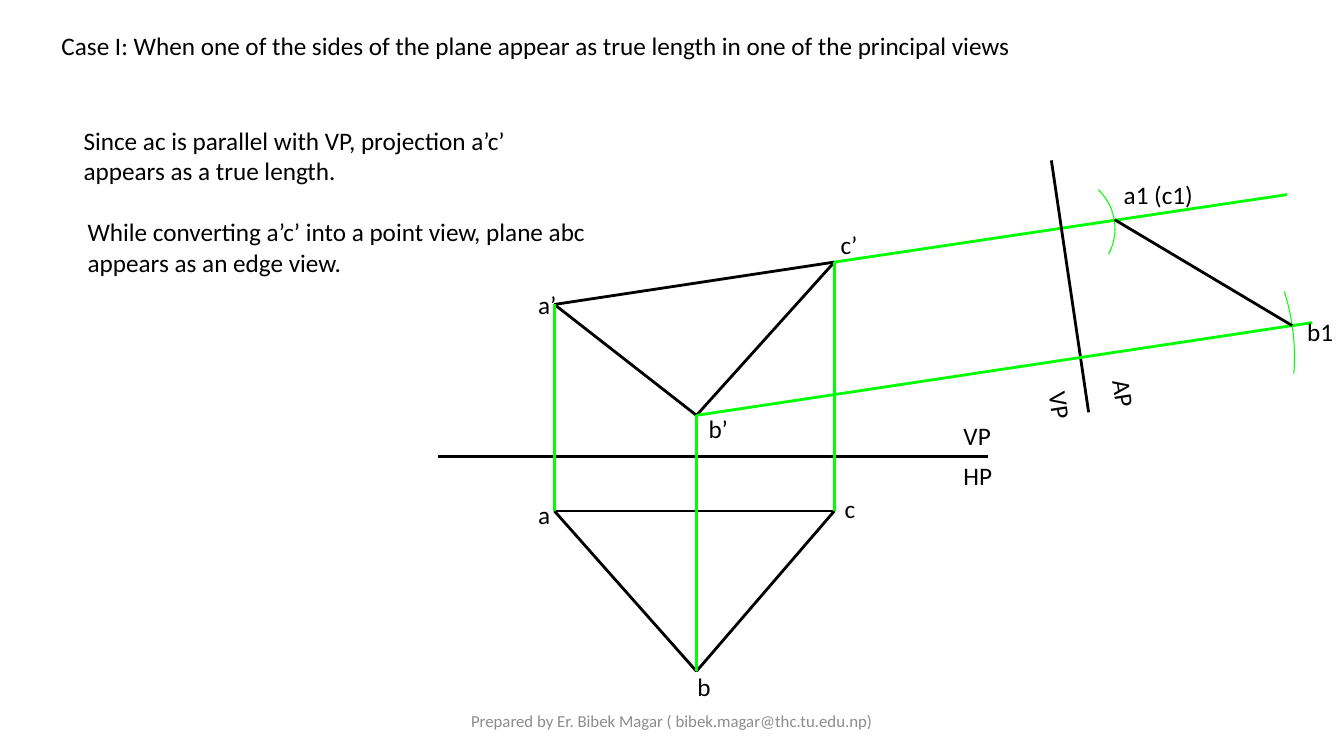
from dataclasses import dataclass
from math import cos, radians, sin

from lxml.etree import SubElement
from pptx import Presentation
from pptx.dml.color import RGBColor
from pptx.enum.shapes import MSO_CONNECTOR
from pptx.enum.text import MSO_ANCHOR, MSO_AUTO_SIZE, PP_ALIGN
from pptx.oxml.ns import qn
from pptx.util import Pt


@dataclass(frozen=True)
class Theme:
    """Colours, font and sizes of the slide."""
    ink: RGBColor = RGBColor(0, 0, 0)
    projector: RGBColor = RGBColor(0, 255, 0)
    muted: RGBColor = RGBColor(0x8C, 0x8C, 0x8C)
    font: str = "Calibri"
    text: Pt = Pt(18)
    footer: Pt = Pt(12)
    hairline: Pt = Pt(0)


THEME = Theme()


def place(shape, left, top, width, height):
    """Move a shape to a box given in points."""
    shape.left, shape.top = Pt(left), Pt(top)
    shape.width, shape.height = Pt(width), Pt(height)


def write(shape, text, size=THEME.text, color=THEME.ink, align=PP_ALIGN.LEFT,
          anchor=MSO_ANCHOR.TOP):
    """Fill a shape with one formatted paragraph."""
    frame = shape.text_frame
    frame.text = text
    frame.word_wrap = True
    frame.auto_size = MSO_AUTO_SIZE.NONE
    frame.vertical_anchor = anchor
    para = frame.paragraphs[0]
    para.alignment = align
    para.font.name, para.font.size = THEME.font, size
    para.font.color.rgb = color


def add_text(page, text, box, **style):
    """Add a text box in a box given in points."""
    shape = page.shapes.add_textbox(*map(Pt, box))
    write(shape, text, **style)
    return shape


def add_label(page, text, origin, spot, width=36.7, rotation=0):
    """Add a short label at a spot relative to the origin."""
    box = (origin[0] + spot[0], origin[1] + spot[1], width, 28.8)
    add_text(page, text, box).rotation = rotation


def add_line(page, origin, start, end, color=THEME.ink):
    """Draw a hairline between two spots relative to the origin."""
    left, top = origin
    line = page.shapes.add_connector(
        MSO_CONNECTOR.STRAIGHT, Pt(left + start[0]), Pt(top + start[1]),
        Pt(left + end[0]), Pt(top + end[1]))
    line.line.color.rgb = color
    line.line.width = THEME.hairline
    SubElement(line._element.spPr, qn("a:effectLst"))


def add_arc(page, origin, center, radius, first, last, steps=14):
    """Draw a compass arc between two angles in degrees."""
    angles = [radians(first + (last - first) * step / steps)
              for step in range(steps + 1)]
    points = [(Pt(origin[0] + center[0] + radius * cos(angle)),
               Pt(origin[1] + center[1] + radius * sin(angle)))
              for angle in angles]
    builder = page.shapes.build_freeform(*points[0], scale=1.0)
    builder.add_line_segments(points[1:], close=False)
    arc = builder.convert_to_shape()
    arc.shadow.inherit = False
    arc.fill.background()
    arc.line.color.rgb = THEME.projector
    arc.line.width = THEME.hairline


def add_heading(page, box):
    """Set the slide title."""
    title = page.shapes.title
    place(title, *box)
    write(title, "Case I: When one of the sides of the plane appear as true "
                 "length in one of the principal views")


def add_notes(page, box):
    """Write the two explanations under each other."""
    left, top, width, height = box
    add_text(page, "Since ac is parallel with VP, projection a’c’ appears as "
                   "a true length.", (left, top, width, height))
    add_text(page, "While converting a’c’ into a point view, plane abc appears "
                   "as an edge view.", (left + 2.9, top + 65.5, width, height))


def add_principal_views(page, origin, spots):
    """Draw the top and front views about the reference line."""
    add_line(page, origin, (3, 216.2), (395.6, 216.2))
    for prime in ("", "’"):
        for start, end in ("ac", "cb", "ba"):
            add_line(page, origin, spots[start + prime], spots[end + prime])
    for name in "abc":
        add_line(page, origin, spots[name], spots[name + "’"], THEME.projector)
    labels = [("VP", (371.1, 186.6)), ("HP", (371.1, 215.4)),
              ("a", (67.3, 242.8)), ("b", (181, 365.9)), ("c", (286.2, 238.5)),
              ("a’", (67.3, 93)), ("b’", (189, 181.6)), ("c’", (283.3, 50.6))]
    for text, spot in labels:
        add_label(page, text, origin, spot)


def add_auxiliary_view(page, origin, spots):
    """Draw the edge view on the auxiliary plane."""
    add_line(page, origin, spots["c’"], (609.4, 29), THEME.projector)
    add_line(page, origin, (467.6, 184.5), (441, 4.6))
    add_line(page, origin, spots["b’"], (627.4, 120.4), THEME.projector)
    add_arc(page, origin, (448.2, 53.3), 38.3, 28.5, -46.5)
    add_arc(page, origin, (461.8, 144.9), 152.9, 4.6, -17.8)
    add_line(page, origin, (486.3, 47), (613, 122.6))
    add_label(page, "a1 (c1)", origin, (485.6, 14.6), width=69.8)
    add_label(page, "b1", origin, (616.6, 112.5))
    add_label(page, "AP", origin, (474.8, 157.8), rotation=81)
    add_label(page, "VP", origin, (429.4, 166.5), rotation=81)


def add_footer(page, box):
    """Write the author line."""
    add_text(page, "Prepared by Er. Bibek Magar ( bibek.magar@thc.tu.edu.np)",
             box, size=THEME.footer, color=THEME.muted,
             align=PP_ALIGN.CENTER, anchor=MSO_ANCHOR.MIDDLE)


def main():
    """Build and save the slide."""
    deck = Presentation()
    deck.slide_width, deck.slide_height = Pt(960), Pt(540)
    page = deck.slides.add_slide(deck.slide_layouts[5])
    origin = (310, 110)
    spots = {"a": (86, 255), "b": (187.5, 369.5), "c": (286, 255),
             "a’": (86, 107.5), "b’": (187.5, 186.7), "c’": (286, 77.2)}
    add_footer(page, (318, 500.5, 324, 28.8))
    add_heading(page, (36.7, 18, 766.8, 28.8))
    add_principal_views(page, origin, spots)
    add_auxiliary_view(page, origin, spots)
    add_notes(page, (52.6, 85.7, 376.6, 51.1))
    deck.save("out.pptx")


if __name__ == "__main__":
    main()
